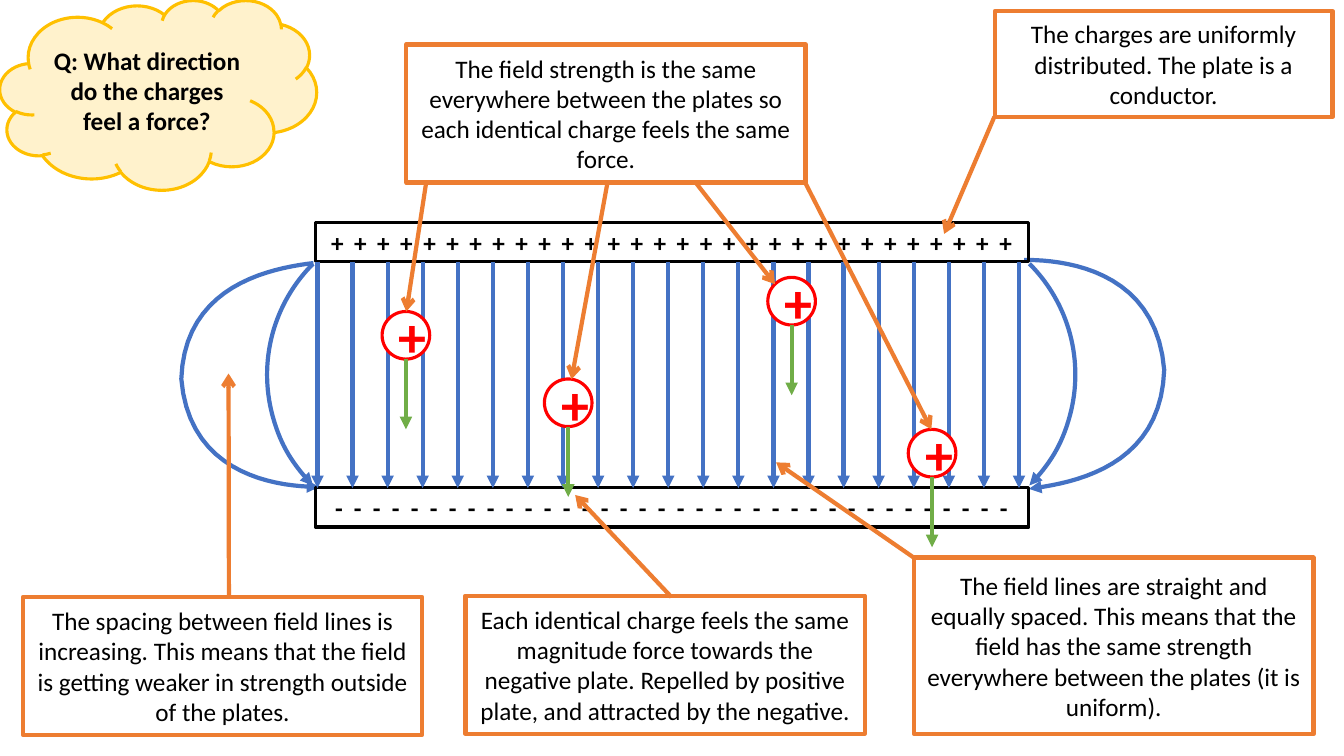
"""Build a slide on the uniform electric field between two charged plates."""
from lxml.etree import SubElement
from pptx import Presentation
from pptx.dml.color import RGBColor
from pptx.enum.shapes import MSO_CONNECTOR, MSO_SHAPE
from pptx.enum.text import MSO_ANCHOR, PP_ALIGN
from pptx.oxml.ns import qn
from pptx.util import Cm, Pt

BLACK = RGBColor(0x00, 0x00, 0x00)
WHITE = RGBColor(0xFF, 0xFF, 0xFF)
RED = RGBColor(0xFF, 0x00, 0x00)
BLUE = RGBColor(0x44, 0x72, 0xC4)
ORANGE = RGBColor(0xED, 0x7D, 0x31)
GREEN = RGBColor(0x70, 0xAD, 0x47)
GOLD = RGBColor(0xFF, 0xC0, 0x00)
CREAM = RGBColor(0xFF, 0xF2, 0xCC)


def outline(sp, color, width=3, end=None, head="triangle"):
    sp.line.color.rgb = color
    sp.line.width = Pt(width)
    spPr = sp.element.spPr
    if end:
        SubElement(spPr.find(qn("a:ln")), qn(f"a:{end}"), type=head)
    SubElement(spPr, qn("a:effectLst"))


def write(sp, text, size=18, color=BLACK, bold=False, spacing=0):
    tf = sp.text_frame
    tf.word_wrap = True
    tf.vertical_anchor = MSO_ANCHOR.MIDDLE
    p = tf.paragraphs[0]
    p.alignment = PP_ALIGN.CENTER
    r = p.add_run()
    r.text = text
    r.font.name = "Calibri"
    r.font.size = Pt(size)
    r.font.bold = bold
    r.font.color.rgb = color
    if spacing:
        r.font._element.set("spc", str(spacing))


prs = Presentation()
prs.slide_width, prs.slide_height = Cm(33.87), Cm(19.05)
s = prs.slides.add_slide(prs.slide_layouts[6])
shapes = s.shapes

outer_field_lines = [
    [(25.81, 6.55), (26.67, 6.55), (29.13, 6.71), (29.34, 9.32),
     (29.26, 11.76), (27.08, 12.17), (25.93, 12.32)],
    [(7.9, 6.63), (6.81, 6.76), (4.65, 7.19), (4.57, 9.55),
     (4.78, 12.09), (7.19, 12.27), (8.05, 12.27)],
]
STEPS = 20
for curve in outer_field_lines:
    points = []
    for first in (0, 3):
        for step in range(1, STEPS + 1):
            t = step / STEPS
            weights = ((1 - t) ** 3, 3 * t * (1 - t) ** 2, 3 * t * t * (1 - t), t ** 3)
            points.append([Cm(sum(w * c[axis] for w, c in zip(weights, curve[first:first + 4])))
                           for axis in (0, 1)])
    x, y = curve[0]
    builder = shapes.build_freeform(Cm(x), Cm(y))
    builder.add_line_segments(points, close=False)
    sp = builder.convert_to_shape()
    sp.fill.background()
    outline(sp, BLUE, end="tailEnd")

for top, sign, count, spacing in [(5.61, "+", 30, 174), (12.29, "-", 36, 200)]:
    sp = shapes.add_shape(MSO_SHAPE.RECTANGLE, Cm(7.95), Cm(top), Cm(17.98), Cm(0.99))
    sp.fill.background()
    outline(sp, BLACK, 2.25)
    write(sp, " ".join(sign * count), bold=True, spacing=spacing)

cloud = shapes.add_shape(MSO_SHAPE.CLOUD, 0, 0, Cm(7.98), Cm(4.78))
cloud.fill.solid()
cloud.fill.fore_color.rgb = CREAM
outline(cloud, GOLD, 2.25)
write(cloud, "Q: What direction do the charges feel a force?", bold=True)

for left, rotation, end in [(19.2, 45, "tailEnd"), (6.73, 225, "headEnd")]:
    sp = shapes.add_shape(MSO_SHAPE.ARC, Cm(left), Cm(5.49), Cm(7.9), Cm(7.9))
    sp.rotation = rotation
    sp.fill.background()
    outline(sp, BLUE, end=end)

callouts = [
    (25.07, 0.28, 8.51, 2.67, (0.996, -0.001, 2.103, -0.15),
     "The charges are uniformly distributed. The plate is a conductor."),
    (23.04, 14.05, 10.06, 4.45, (0.01, 0.005, -0.539, -0.346),
     "The field lines are straight and equally spaced. This means that the field has "
     "the same strength everywhere between the plates (it is uniform)."),
    (0.58, 15.04, 10.06, 3.48, (0.01, 0.516, -1.617, 0.515),
     "The spacing between field lines is increasing. This means that the field is "
     "getting weaker in strength outside of the plates."),
    (10.24, 1.12, 10.06, 3.48, (1.001, 0.504, 2.425, 0.414),
     "The field strength is the same everywhere between the plates so each identical "
     "charge feels the same force."),
    (11.73, 15.01, 10.06, 3.48, (0.01, 0.516, -0.729, 0.275),
     "Each identical charge feels the same magnitude force towards the negative plate. "
     "Repelled by positive plate, and attracted by the negative."),
]
charges = [(9.63, 7.85), (13.72, 9.55), (19.35, 6.99), (22.89, 10.82)]
DIAMETER = 1.2
field_lines = [(8 + 0.884 * i, 6.6, 8 + 0.884 * i, 12.3, BLUE, "triangle") for i in range(21)]
pointers = [(20.29, 4.6, 23.47, 10.82, ORANGE, "arrow"),
            (17.53, 4.6, 19.53, 7.16, ORANGE, "arrow"),
            (10.74, 4.6, 10.24, 7.85, ORANGE, "arrow")]
forces = [(x + DIAMETER / 2, y + DIAMETER, x + DIAMETER / 2, y + DIAMETER + 1.77, GREEN, "triangle")
          for x, y in charges]

for group in (field_lines, charges, pointers, forces):
    if group is charges:
        for left, top in charges:
            sp = shapes.add_shape(MSO_SHAPE.OVAL, Cm(left), Cm(top), Cm(DIAMETER), Cm(DIAMETER))
            sp.fill.solid()
            sp.fill.fore_color.rgb = WHITE
            outline(sp, RED, 2.25)
            write(sp, "+", size=40, color=RED, bold=True)
        continue
    for x1, y1, x2, y2, color, head in group:
        line = shapes.add_connector(MSO_CONNECTOR.STRAIGHT, Cm(x1), Cm(y1), Cm(x2), Cm(y2))
        outline(line, color, end="tailEnd", head=head)

for left, top, width, height, leader, text in callouts:
    sp = shapes.add_shape(MSO_SHAPE.LINE_CALLOUT_1, Cm(left), Cm(top), Cm(width), Cm(height))
    for i, value in enumerate(leader):
        sp.adjustments[i] = value
    sp.fill.background()
    outline(sp, ORANGE, end="tailEnd", head="arrow")
    write(sp, text)

prs.save("out.pptx")
